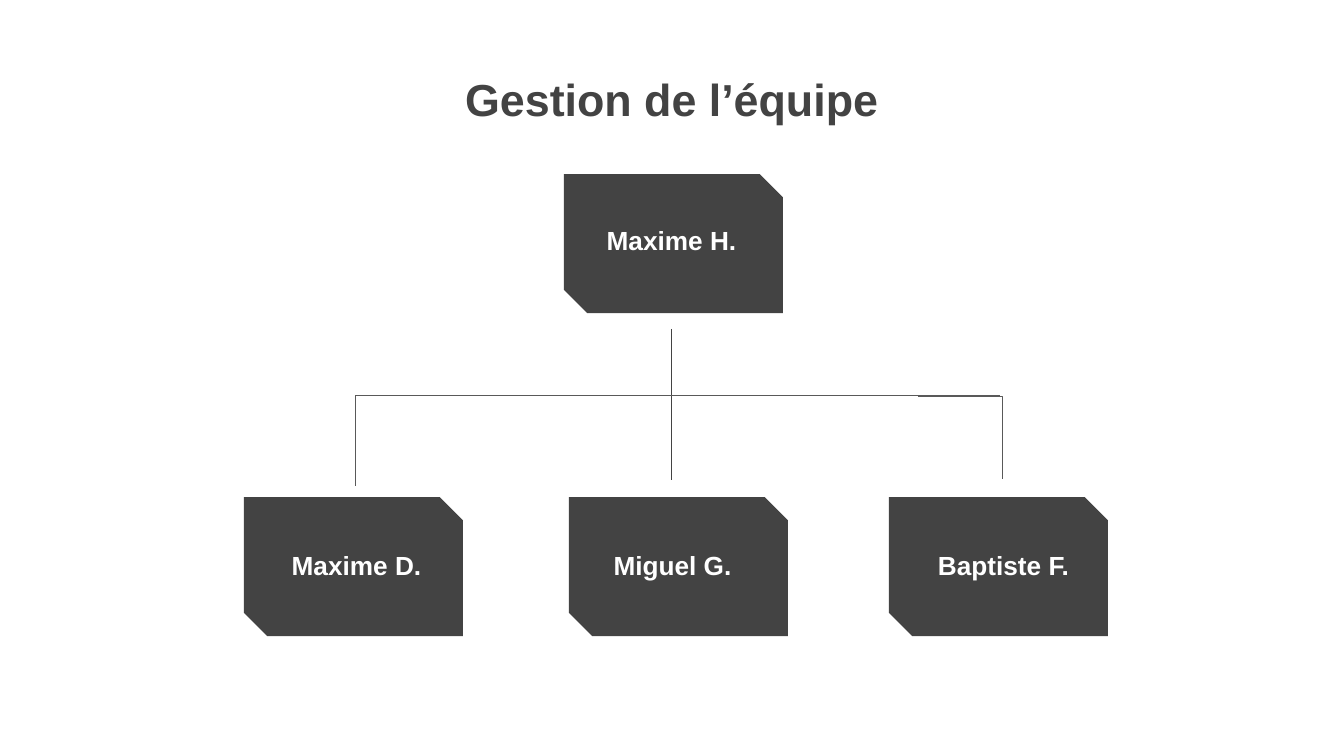
from lxml.etree import SubElement
from pptx import Presentation
from pptx.dml.color import RGBColor
from pptx.enum.shapes import MSO_CONNECTOR as Connector, MSO_SHAPE as Shape
from pptx.enum.text import MSO_ANCHOR as Anchor, MSO_AUTO_SIZE as AutoSize, PP_ALIGN as Align
from pptx.oxml.ns import qn
from pptx.util import Pt

TITLE = "Gestion de l’équipe"
# name, card left and top, label left and top
MEMBERS = [
    ("Maxime H.", (564, 174), (566, 212)),
    ("Maxime D.", (244, 497), (251, 537)),
    ("Miguel G.", (569, 497), (567, 537)),
    ("Baptiste F.", (889, 497), (898, 537)),
]
CARD_SIZE = (219, 139)
LABEL_SIZE = (211, 57)
TITLE_BOX = (289, 51, 766, 139)
INSET = 13

DARK = RGBColor(0x43, 0x43, 0x43)
GRAY = RGBColor(0x59, 0x59, 0x59)
WHITE = RGBColor(0xFF, 0xFF, 0xFF)

# kind, start, end, colour
LINES = [
    (Connector.STRAIGHT, (672, 329), (672, 480), DARK),
    (Connector.STRAIGHT, (442, 396), (1000, 396), GRAY),
    (Connector.ELBOW, (442, 396), (356, 486), GRAY),
    (Connector.ELBOW, (918, 396), (1003, 479), GRAY),
]


def px(*lengths):
    """Turn pixels at 100.8 to the inch into EMU."""
    return [round(length * 914400 / 100.8) for length in lengths]


def write_text(shape, text, size, color, anchor):
    frame = shape.text_frame
    frame.text = text
    frame.word_wrap = True
    frame.auto_size = AutoSize.NONE
    frame.vertical_anchor = anchor
    inset, = px(INSET)
    frame.margin_left = frame.margin_right = inset
    frame.margin_top = frame.margin_bottom = inset
    paragraph = frame.paragraphs[0]
    paragraph.alignment = Align.CENTER
    font = paragraph.runs[0].font
    font.name, font.size, font.bold = "Arial", Pt(size), True
    font.color.rgb = color
    return paragraph


def add_title(slide):
    title = slide.shapes.title
    title.left, title.top, title.width, title.height = px(*TITLE_BOX)
    paragraph = write_text(title, TITLE, 32, DARK, Anchor.TOP)
    paragraph.line_spacing = 1.15


def add_line(slide, kind, start, end, color):
    connector = slide.shapes.add_connector(kind, *px(*start, *end))
    connector.line.color.rgb = color
    connector.line.width = Pt(0.75)
    properties = connector.element.spPr
    SubElement(properties, qn("a:effectLst"))
    if kind == Connector.ELBOW:
        # Move the bend to the far end: across first, then down.
        adjustments = properties.find(qn("a:prstGeom")).get_or_add_avLst()
        SubElement(adjustments, qn("a:gd"), name="adj1", fmla="val 100000")


def add_member(slide, name, card_position, label_position):
    card = slide.shapes.add_shape(Shape.SNIP_2_DIAG_RECTANGLE, *px(*card_position, *CARD_SIZE))
    card.adjustments[0], card.adjustments[1] = 0, 0.167
    card.shadow.inherit = False
    card.fill.solid()
    card.fill.fore_color.rgb = DARK
    card.line.fill.background()
    label = slide.shapes.add_textbox(*px(*label_position, *LABEL_SIZE))
    write_text(label, name, 18.7, WHITE, Anchor.BOTTOM)


def main():
    presentation = Presentation()
    presentation.slide_width, presentation.slide_height = px(1344, 756)
    slide = presentation.slides.add_slide(presentation.slide_layouts[5])
    add_title(slide)
    for line in LINES:
        add_line(slide, *line)
    for member in MEMBERS:
        add_member(slide, *member)
    presentation.save("out.pptx")


if __name__ == "__main__":
    main()
